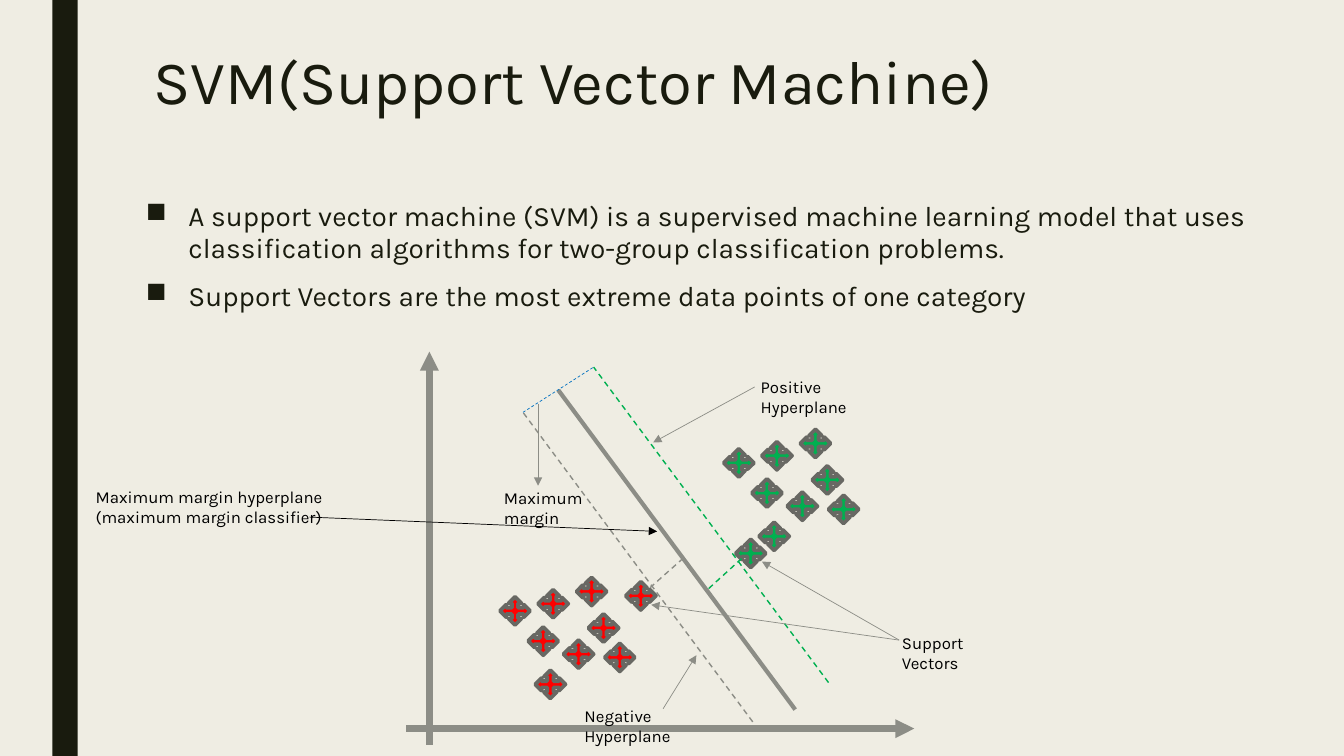
from lxml import etree
from pptx import Presentation
from pptx import util as u
from pptx.dml.color import RGBColor
from pptx.enum import dml, shapes, text
from pptx.oxml import ns

COLOURS = {
    "paper": "EFEDE3", "ink": "191B0E", "black": "000000", "grey": "8C8D86",
    "outline": "686863", "red": "FF0000", "green": "00B050", "blue": "0070C0",
}
RED_CLUSTER = [
    (12.6, 15.04), (14.2, 16.13), (13.31, 15.8), (13.56, 14.86),
    (14.53, 14.55), (13.49, 16.89), (14.83, 15.47), (15.24, 16.21),
]
GREEN_SHIFT = (5.64, -3.73)
SUPPORT_VECTORS = [(15.77, 14.66, "red"), (18.54, 13.59, "green")]
LABELS = [
    ("Support Vectors", 22.48, 15.82, 3.51),
    ("Positive Hyperplane", 18.92, 9.37, 4.11),
    ("Negative Hyperplane", 14.48, 17.65, 4.27),
    ("Maximum margin", 12.45, 12.17, 3.51),
]
BULLETS = [
    "A support vector machine (SVM) is a supervised machine learning model "
    "that uses classification algorithms for two-group classification problems.",
    "Support Vectors are the most extreme data points of one category",
]


class SlideBuilder:
    """Draw styled elements on the current slide, with lengths in centimetres."""

    font = "Karla"

    def __init__(self, page):
        self.page = page

    def colour(self, name):
        return RGBColor.from_string(COLOURS[name])

    def background(self, name):
        fill = self.page.background.fill
        fill.solid()
        fill.fore_color.rgb = self.colour(name)

    def span(self, para, words, size, colour):
        span = para.add_run()
        span.text = words
        span.font.name = self.font
        span.font.size = u.Pt(size)
        span.font.color.rgb = self.colour(colour)

    def title(self, words, left, top, width, height):
        box = self.page.shapes.title
        box.left, box.top, box.width, box.height = map(u.Cm, (left, top, width, height))
        frame = box.text_frame
        frame.vertical_anchor = text.MSO_ANCHOR.TOP
        frame.auto_size = text.MSO_AUTO_SIZE.NONE
        para = frame.paragraphs[0]
        para.alignment = text.PP_ALIGN.LEFT
        para.line_spacing = 0.89
        self.span(para, words, 44, "ink")

    def text_box(self, lines, left, top, width, height, size=12, colour="black"):
        box = self.page.shapes.add_textbox(*map(u.Cm, (left, top, width, height)))
        frame = box.text_frame
        frame.word_wrap = True
        for index, words in enumerate(lines):
            para = frame.add_paragraph() if index else frame.paragraphs[0]
            self.span(para, words, size, colour)
        return frame

    def label(self, lines, left, top, width, height=0.76):
        frame = self.text_box(lines, left, top, width, height)
        frame.auto_size = text.MSO_AUTO_SIZE.SHAPE_TO_FIT_TEXT

    def bullets(self, lines, left, top, width, height):
        frame = self.text_box(lines, left, top, width, height, 20, "ink")
        for para in frame.paragraphs:
            para.line_spacing = 0.94
            para.space_before = u.Pt(10)
            para.space_after = u.Pt(2)
            props = para._p.get_or_add_pPr()
            props.set("marL", str(u.Cm(1.07)))
            props.set("indent", str(-u.Cm(1.07)))
            etree.SubElement(props, ns.qn("a:buChar"), char="■")

    def shape(self, kind, left, top, width, height, fill, outline=None):
        shape = self.page.shapes.add_shape(kind, *map(u.Cm, (left, top, width, height)))
        shape.shadow.inherit = False
        shape.fill.solid()
        shape.fill.fore_color.rgb = self.colour(fill)
        if outline:
            shape.line.color.rgb = self.colour(outline)
            shape.line.width = u.Pt(2.75)
        else:
            shape.line.fill.background()

    def marker(self, left, top, fill):
        self.shape(shapes.MSO_SHAPE.QUAD_ARROW, left, top, 0.76, 0.71, fill, "outline")

    def line(self, start, end, colour="grey", width=0.5, dashed=False, arrow=False):
        line = self.page.shapes.add_connector(
            shapes.MSO_CONNECTOR.STRAIGHT, *map(u.Cm, (*start, *end)))
        line.line.color.rgb = self.colour(colour)
        line.line.width = u.Pt(width)
        if dashed:
            line.line.dash_style = dml.MSO_LINE.DASH
        props = line._element.spPr
        if arrow:
            etree.SubElement(props.find(ns.qn("a:ln")), ns.qn("a:tailEnd"), type="triangle")
        etree.SubElement(props, ns.qn("a:effectLst"))


def main():
    deck = Presentation()
    deck.slide_width, deck.slide_height = u.Cm(33.87), u.Cm(19.05)
    slide = SlideBuilder(deck.slides.add_slide(deck.slide_layouts[5]))
    slide.background("paper")
    slide.shape(shapes.MSO_SHAPE.RECTANGLE, 1.32, 0, 0.64, 19.05, "ink")
    slide.title("SVM(Support Vector Machine)", 3.61, 1.19, 26.67, 4.11)
    slide.bullets(BULLETS, 3.43, 4.95, 28.96, 11.94)

    slide.line((10.82, 18.77), (10.82, 8.86), width=4.5, arrow=True)
    slide.line((10.24, 18.36), (23.04, 18.36), width=4.5, arrow=True)

    shift_x, shift_y = GREEN_SHIFT
    for left, top in RED_CLUSTER:
        slide.marker(left, top, "red")
        slide.marker(left + shift_x, top + shift_y, "green")
    for left, top, fill in SUPPORT_VECTORS:
        slide.marker(left, top, fill)

    negative_top, positive_top = (13.18, 10.39), (14.96, 9.25)
    slide.line((20.04, 17.88), (14.07, 9.83), width=3)
    slide.line((16.38, 14.81), (17.27, 14.02), width=1, dashed=True)
    slide.line((17.86, 14.83), (18.75, 14.02), "green", 1, dashed=True)
    slide.line((18.97, 18.19), negative_top, width=1, dashed=True)
    slide.line((20.88, 17.2), positive_top, "green", 1, dashed=True)
    slide.line(negative_top, positive_top, "blue", dashed=True)

    slide.line((7.8, 13.03), (16.56, 13.39), "black", arrow=True)
    support_label = (22.66, 16.13)
    pointers = [
        (support_label, (19.2, 14.15)), (support_label, (16.41, 15.24)),
        ((19.02, 9.75), (16.46, 11.15)), ((16.71, 17.86), (17.55, 16.51)),
        ((13.56, 10.19), (13.56, 12.24)),
    ]
    for start, end in pointers:
        slide.line(start, end, arrow=True)

    for words, left, top, width in LABELS:
        slide.label([words], left, top, width)
    slide.label(["Maximum margin hyperplane", "(maximum margin classifier)"],
                2.16, 12.14, 6.24, 1.27)
    deck.save("out.pptx")


if __name__ == "__main__":
    main()
